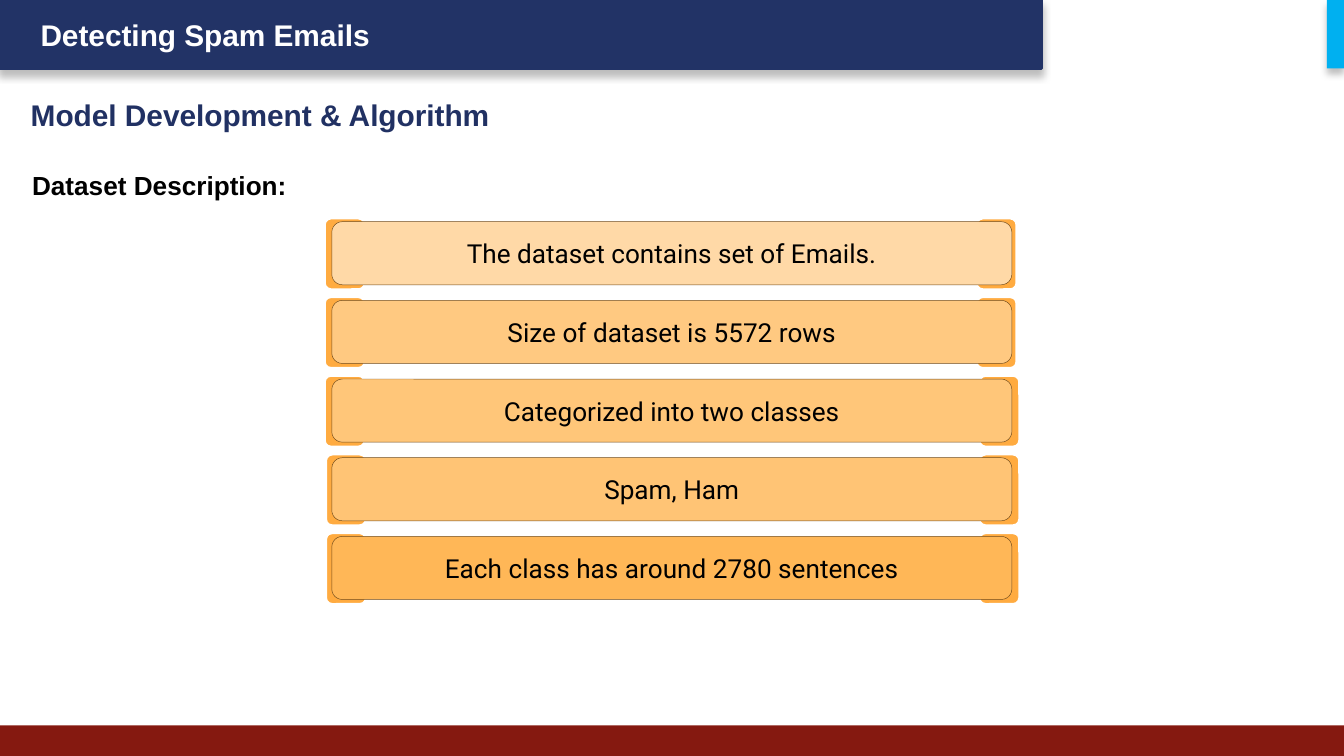
from lxml import etree
from pptx import Presentation
from pptx.dml.color import RGBColor
from pptx.enum.shapes import MSO_SHAPE as Kind
from pptx.enum.text import MSO_ANCHOR as Anchor, MSO_AUTO_SIZE as Fit, PP_ALIGN as Align
from pptx.oxml import parse_xml
from pptx.util import Pt

TITLE = "Detecting Spam Emails"
HEAD = "Model Development & Algorithm"
LABEL = "Dataset Description:"
FACTS = [
    ("The dataset contains set of Emails.", "FFD9A7"),
    ("Size of dataset is 5572 rows", "FFC981"),
    ("Categorized into two classes", "FFC679"),
    ("Spam, Ham", "FFC475"),
    ("Each class has around 2780 sentences", "FFB757"),
]
TABS = [(173.5, 522.7), (173.5, 522.7), (173.5, 524.2), (174.2, 524.2), (174.2, 524.2)]
NAVY, RED, CYAN, GOLD = "223366", "851910", "00B0F0", "FFAB40"
TOP, STEP = 118.8, 42.15

SHADE = """<a:effectLst xmlns:a="http://schemas.openxmlformats.org/drawingml/2006/main">
<a:outerShdw blurRad="50800" dist="38100" dir="5400000" algn="t" rotWithShape="0">
<a:srgbClr val="000000"><a:alpha val="25000"/></a:srgbClr></a:outerShdw></a:effectLst>"""


def color(code):
    return RGBColor.from_string(code)


def block(slide, box, fill, kind=Kind.RECTANGLE, line=None, width=1, shade=False):
    shape = slide.shapes.add_shape(kind, *map(Pt, box))
    shape.fill.solid()
    shape.fill.fore_color.rgb = color(fill)
    if line:
        shape.line.color.rgb = color(line)
        shape.line.width = Pt(width)
    else:
        shape.line.fill.background()
    shape.shadow.inherit = False
    if shade:
        props = shape.element.spPr
        blank = props.find("{*}effectLst")
        props.replace(blank, parse_xml(SHADE))
    return shape


def write(shape, text, size=14, font="Arial", ink="000000", bold=False,
          align=Align.LEFT, anchor=Anchor.TOP, pad=(7.2, 3.6), after=0, grow=False):
    frame = shape.text_frame
    frame.word_wrap = True
    frame.vertical_anchor = anchor
    frame.margin_left, frame.margin_top = map(Pt, pad)
    frame.margin_right, frame.margin_bottom = Pt(7.2), Pt(pad[1])
    if grow:
        frame.auto_size = Fit.SHAPE_TO_FIT_TEXT
    para = frame.paragraphs[0]
    para.alignment = align
    para.space_after = Pt(after)
    run = para.add_run()
    run.text = text
    run.font.size = Pt(size)
    run.font.name = font
    run.font.bold = bold
    run.font.color.rgb = color(ink)


def label(slide, box, text, **form):
    write(slide.shapes.add_textbox(*map(Pt, box)), text, bold=True, **form)


def main():
    deck = Presentation()
    deck.slide_width, deck.slide_height = Pt(720), Pt(405)
    slide = deck.slides.add_slide(deck.slide_layouts[6])

    block(slide, (0, 0, 558, 36.7), NAVY, line=NAVY, width=2, shade=True)
    block(slide, (0, 388.6, 720, 16.4), RED)
    label(slide, (10, 5.2, 306, 26.6), TITLE, size=16, ink="FFFFFF", pad=(11.7, 3.6), grow=True)
    block(slide, (710.8, 0, 9.2, 36.7), CYAN, shade=True)

    label(slide, (9.4, 44.6, 350.6, 33.8), HEAD, size=16, ink="213163", pad=(7.2, 7.2))
    label(slide, (10.1, 83.5, 345.6, 39.6), LABEL, pad=(7.2, 7.2), after=8, grow=True)

    for row, ((text, fill), sides) in enumerate(zip(FACTS, TABS)):
        top = TOP + row * STEP
        for left in sides:
            block(slide, (left, top - 2.2, 22.3, 38.9), GOLD, Kind.ROUNDED_RECTANGLE, "FFFFFF", 2)
        bar = block(slide, (177.8, top, 364.3, 33.8), fill, Kind.ROUNDED_RECTANGLE, "704B1C", 0.25)
        write(bar, text, font="Roboto", align=Align.CENTER, anchor=Anchor.MIDDLE)

    deck.save("out.pptx")


if __name__ == "__main__":
    main()
